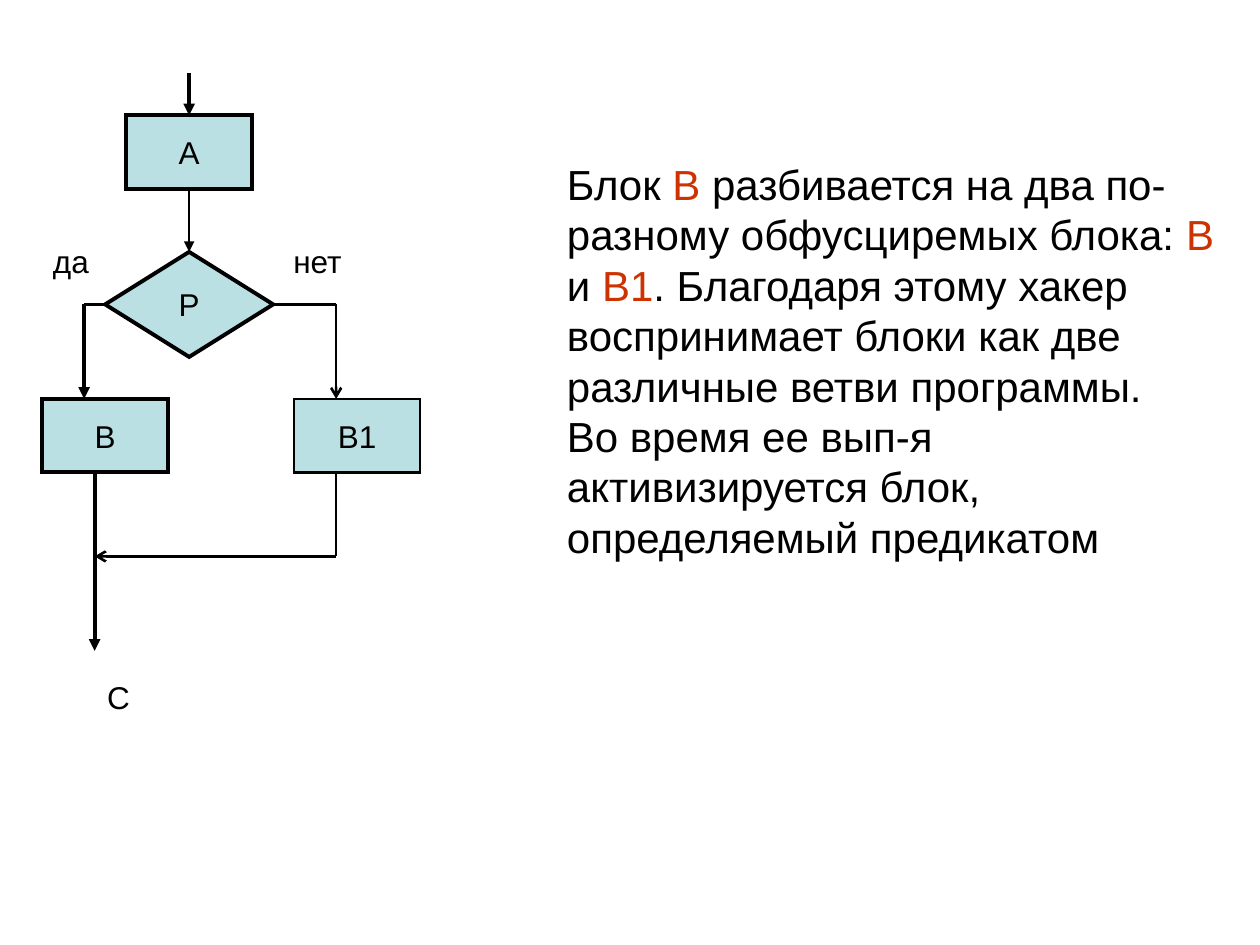
import pptx
import pptx.dml.color
import pptx.enum.shapes
import pptx.enum.text
import pptx.oxml
import pptx.oxml.ns
import pptx.util
from pptx.util import Cm

BLACK, RED, PALE_BLUE = "000000", "CC3300", "BBE0E3"
THICK, THIN = 2.25, 1.5
SHAPES = pptx.enum.shapes.MSO_SHAPE
ANCHOR = pptx.enum.text.MSO_ANCHOR
ALIGN = pptx.enum.text.PP_ALIGN
FIT = pptx.enum.text.MSO_AUTO_SIZE.SHAPE_TO_FIT_TEXT


def color(value):
    return pptx.dml.color.RGBColor.from_string(value)


def set_format(target, values):
    for name, value in values.items():
        setattr(target, name, value)


def append_xml(parent, tag, attributes=""):
    namespace = pptx.oxml.ns.nsdecls("a")
    parent.append(pptx.oxml.parse_xml(f"<a:{tag} {namespace} {attributes}/>"))


def add_run(paragraph, text, size, tint=BLACK):
    run = paragraph.add_run()
    run.text = text
    set_format(run.font, {"name": "Arial", "size": pptx.util.Pt(size)})
    run.font.color.rgb = color(tint)


def draw_outline(shape, weight):
    shape.line.color.rgb = color(BLACK)
    shape.line.width = pptx.util.Pt(weight)
    outline = shape.line._get_or_add_ln()
    append_xml(outline, "miter", 'lim="800000"')
    return outline


def add_block(slide, kind, box, text, weight):
    block = slide.shapes.add_shape(kind, *map(Cm, box))
    block.shadow.inherit = False
    block.fill.solid()
    block.fill.fore_color.rgb = color(PALE_BLUE)
    draw_outline(block, weight)
    set_format(block.text_frame, {"word_wrap": False, "vertical_anchor": ANCHOR.MIDDLE})
    paragraph = block.text_frame.paragraphs[0]
    paragraph.alignment = ALIGN.CENTER
    add_run(paragraph, text, 18)
    return block


def add_line(slide, start, end, weight, head=None, begin=None, finish=None):
    """begin and finish are (shape, side) pairs to join."""
    line = slide.shapes.add_connector(
        pptx.enum.shapes.MSO_CONNECTOR.STRAIGHT, *map(Cm, (*start, *end)))
    outline = draw_outline(line, weight)
    if head:
        append_xml(outline, "tailEnd", f'type="{head}"')
    append_xml(line._element.spPr, "effectLst")
    if begin:
        line.begin_connect(*begin)
    if finish:
        line.end_connect(*finish)


def add_text(slide, box, paragraphs, size, wrap):
    frame = slide.shapes.add_textbox(*map(Cm, box)).text_frame
    set_format(frame, {"word_wrap": wrap, "auto_size": FIT})
    for index, runs in enumerate(paragraphs):
        paragraph = frame.add_paragraph() if index else frame.paragraphs[0]
        for text, tint in runs:
            add_run(paragraph, text, size, tint)


def build_flowchart(slide, left, top, width):
    """Blocks and arrows on a grid 36 cells wide."""
    cell = width / 36

    def at(column, row):
        return left + column * cell, top + row * cell

    # Blocks: text, shape, column, row, columns, rows, outline
    blocks = {
        text: add_block(slide, kind, (*at(column, row), columns * cell, rows * cell),
                        text, weight)
        for text, kind, column, row, columns, rows, weight in (
            ("А", SHAPES.RECTANGLE, 8, 4, 12, 7, THICK),
            ("Р", SHAPES.DIAMOND, 6, 17, 16, 10, THICK),
            ("В", SHAPES.RECTANGLE, 0, 31, 12, 7, THICK),
            ("В1", SHAPES.RECTANGLE, 24, 31, 12, 7, THIN),
        )
    }
    start, predicate = blocks["А"], blocks["Р"]

    # Entry and the step to the predicate
    add_line(slide, at(14, 0), at(14, 4), THICK, "triangle", finish=(start, 0))
    add_line(slide, at(14, 11), at(14, 17), THIN, "triangle", (start, 2), (predicate, 0))
    # "Yes" branch
    add_line(slide, at(4, 22), at(6, 22), THIN, finish=(predicate, 1))
    add_line(slide, at(4, 22), at(4, 31), THICK, "triangle")
    add_line(slide, at(5, 38), at(5, 55), THICK, "triangle")
    # "No" branch, which joins the exit arrow
    add_line(slide, at(22, 22), at(28, 22), THIN, begin=(predicate, 3))
    add_line(slide, at(28, 22), at(28, 31), THIN, "arrow")
    add_line(slide, at(28, 38), at(28, 46), THIN)
    add_line(slide, at(28, 46), at(5, 46), THIN, "arrow")

    # Labels of the branches and the exit
    for text, column, row, label_width in (
        ("да", -0.15, 15.45, 1.35), ("нет", 22.75, 15.45, 1.6), ("С", 5, 57, 1),
    ):
        add_text(slide, (*at(column, row), label_width, 1.02), [[(text, BLACK)]], 18, False)


def build_explanation(slide, left, top, width, height):
    paragraphs = [
        [("Блок ", BLACK), ("В", RED),
         (" разбивается на два по-разному обфусциремых блока: ", BLACK),
         ("В", RED), (" и ", BLACK), ("В1", RED),
         (". Благодаря этому хакер воспринимает блоки как две "
          "различные ветви программы.", BLACK)],
        [("Во время ее вып-я активизируется блок, определяемый предикатом", BLACK)],
    ]
    add_text(slide, (left, top, width, height), paragraphs, 24, True)


def main():
    deck = pptx.Presentation()
    set_format(deck, {"slide_width": Cm(25.4), "slide_height": Cm(19.05)})
    slide = deck.slides.add_slide(deck.slide_layouts[6])
    build_flowchart(slide, 0.85, 1.48, 7.62)
    build_explanation(slide, 11.18, 3.07, 13.59, 8.38)
    deck.save("out.pptx")


if __name__ == "__main__":
    main()
